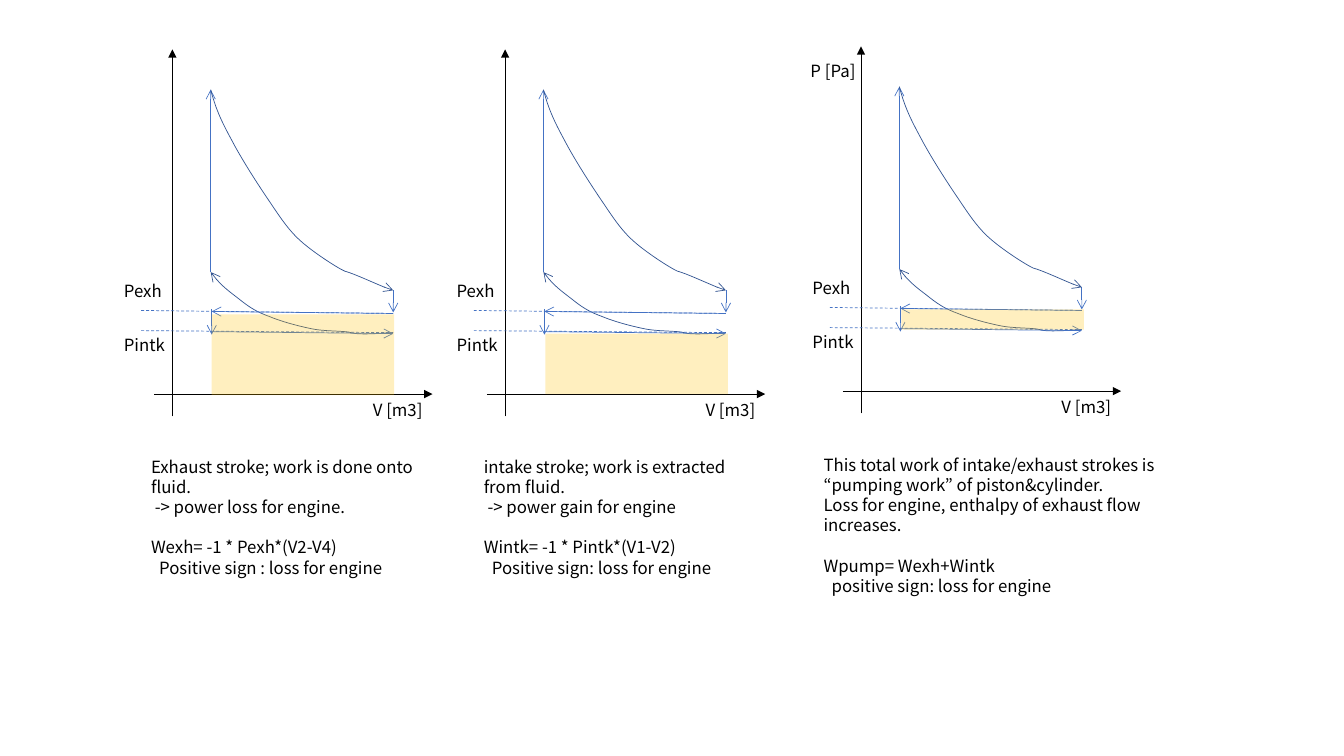
from lxml.etree import SubElement
from pptx import Presentation
from pptx.dml.color import RGBColor
from pptx.enum.dml import MSO_LINE
from pptx.enum.shapes import MSO_CONNECTOR, MSO_SHAPE
from pptx.enum.text import MSO_AUTO_SIZE
from pptx.oxml.ns import qn
from pptx.util import Inches, Pt

BLACK = RGBColor(0x00, 0x00, 0x00)
BLUE = RGBColor(0x44, 0x72, 0xC4)
DARK_BLUE = RGBColor(0x32, 0x54, 0x91)
AMBER = RGBColor(0xFF, 0xC0, 0x00)
FONT = "Noto Sans CJK JP"
LINE_HEIGHT = 14.4  # points

# All diagram coordinates are inches from the top of the pressure axis.
# Each curve is a start point followed by two handles and an end per segment.
EXPANSION = [
    (0.38, 0.40),
    (0.44, 0.64), (0.53, 0.79), (0.62, 0.96),
    (0.72, 1.14), (0.83, 1.31), (0.93, 1.46),
    (1.04, 1.62), (1.13, 1.77), (1.26, 1.89),
    (1.39, 2.01), (1.64, 2.17), (1.71, 2.20),
    (1.79, 2.22), (2.16, 2.39), (2.19, 2.39),
]
COMPRESSION = [
    (0.38, 2.21),
    (0.48, 2.35), (0.59, 2.42), (0.69, 2.50),
    (0.78, 2.57), (0.85, 2.61), (0.96, 2.65),
    (1.08, 2.70), (1.23, 2.74), (1.37, 2.77),
    (1.50, 2.80), (1.70, 2.79), (1.77, 2.81),
    (1.85, 2.84), (2.16, 2.81), (2.19, 2.81),
]
AXES = [((0, 3.64), (0, 0)), ((-0.18, 3.42), (2.58, 3.42))]
PRESSURE_LEVELS = [((-0.31, 2.79), (2.19, 2.81)), ((-0.31, 2.59), (2.19, 2.62))]
VOLUME_STEPS = [((0.38, 2.21), (0.38, 0.40)), ((2.19, 2.39), (2.19, 2.61))]
GAS_EXCHANGE = [
    ((0.39, 2.60), (2.19, 2.62)),
    ((0.39, 2.83), (0.39, 2.58)),
    ((2.19, 2.82), (0.38, 2.80)),
]
VOLUME_LABEL = ("V [m3]", 1.89, 3.43, 0.76)
PRESSURE_LABEL = ("P [Pa]", -0.60, 0.09, 0.79)
LEVEL_LABELS = [("Pexh", -0.58, 2.25, 0.79), ("Pintk", -0.58, 2.78, 0.79)]

# Caption paragraphs are (text, left indent in inches, blank lines above).
EXHAUST = {
    "origin": (1.71, 0.49),
    "labels": [VOLUME_LABEL, *LEVEL_LABELS],
    "work_area": (0.39, 2.63, 1.81, 0.80),
    "caption_box": (-0.31, 3.99, 2.96, 1.31),
    "caption": [
        ("Exhaust stroke; work is done onto fluid.", 0, 0),
        (" -> power loss for engine.", 0, 0),
        ("Wexh= -1 * Pexh*(V2-V4)", 0, 1),
        ("Positive sign : loss for engine", 0.08, 0),
    ],
}
INTAKE = {
    "origin": (5.01, 0.49),
    "labels": [VOLUME_LABEL, *LEVEL_LABELS],
    "work_area": (0.40, 2.82, 1.81, 0.60),
    "caption_box": (-0.31, 3.99, 2.89, 1.31),
    "caption": [
        ("intake stroke; work is extracted from fluid.", 0, 0),
        (" -> power gain for engine", 0, 0),
        ("Wintk= -1 * Pintk*(V1-V2)", 0, 1),
        ("Positive sign: loss for engine", 0.08, 0),
    ],
}
PUMPING = {
    "origin": (8.54, 0.46),
    "labels": [PRESSURE_LABEL, VOLUME_LABEL, *LEVEL_LABELS],
    "work_area": (0.40, 2.61, 1.81, 0.20),
    "caption_box": (-0.47, 4.00, 3.52, 1.51),
    "caption": [
        ("This total work of intake/exhaust strokes is “pumping work” of piston&cylinder.", 0, 0),
        ("Loss for engine, enthalpy of exhaust flow increases.", 0, 0),
        ("Wpump= Wexh+Wintk", 0, 1),
        ("positive sign: loss for engine", 0.08, 0),
    ],
}


def place(origin, point):
    """Turn diagram coordinates into slide lengths."""
    return Inches(origin[0] + point[0]), Inches(origin[1] + point[1])


def style_line(shape, color, head=None, tail=None, dashed=False):
    """Format a line; head is the arrow at its start, tail at its end."""
    shape.line.color.rgb = color
    shape.line.width = Pt(0.5)
    if dashed:
        shape.line.dash_style = MSO_LINE.DASH
    line = shape._element.spPr.find(qn("a:ln"))
    for tag, arrow in (("a:headEnd", head), ("a:tailEnd", tail)):
        if arrow:
            SubElement(line, qn(tag), type=arrow)


def add_line(slide, origin, ends, color, **line_format):
    start, end = (place(origin, point) for point in ends)
    connector = slide.shapes.add_connector(MSO_CONNECTOR.STRAIGHT, *start, *end)
    style_line(connector, color, **line_format)
    SubElement(connector._element.spPr, qn("a:effectLst"))


def add_curve(slide, origin, controls, **line_format):
    """Draw a freeform, joining every three points into one cubic segment."""
    builder = slide.shapes.build_freeform(*place(origin, controls[0]))
    builder.add_line_segments(
        [place(origin, point) for point in controls[1:]], close=False
    )
    curve = builder.convert_to_shape()
    outline = next(curve._element.iter(qn("a:path")))
    straight_parts = outline.findall(qn("a:lnTo"))
    for first in range(0, len(straight_parts), 3):
        cubic = SubElement(outline, qn("a:cubicBezTo"))
        for part in straight_parts[first:first + 3]:
            cubic.append(part[0])
            outline.remove(part)
    curve.shadow.inherit = False
    curve.fill.background()
    style_line(curve, DARK_BLUE, **line_format)


def add_work_area(slide, origin, box):
    left, top, width, height = box
    area = slide.shapes.add_shape(
        MSO_SHAPE.RECTANGLE, *place(origin, (left, top)), Inches(width), Inches(height)
    )
    area.shadow.inherit = False
    area.line.fill.background()
    area.fill.solid()
    area.fill.fore_color.rgb = AMBER
    color = area._element.spPr.find(qn("a:solidFill"))[0]
    SubElement(color, qn("a:alpha"), val="25000")


def add_text(slide, origin, box, paragraphs, size=12, color=BLACK, font=FONT):
    left, top, width, height = box
    text_box = slide.shapes.add_textbox(
        *place(origin, (left, top)), Inches(width), Inches(height)
    )
    frame = text_box.text_frame
    frame.word_wrap = True
    frame.auto_size = MSO_AUTO_SIZE.SHAPE_TO_FIT_TEXT
    for index, (text, indent, blank_lines) in enumerate(paragraphs):
        paragraph = frame.add_paragraph() if index else frame.paragraphs[0]
        if indent:
            paragraph._p.get_or_add_pPr().set("marL", str(Inches(indent)))
        if blank_lines:
            paragraph.space_before = Pt(LINE_HEIGHT * blank_lines)
        run = paragraph.add_run()
        run.text = text
        run.font.size = Pt(size)
        run.font.name = font
        run.font.color.rgb = color


def add_panel(slide, origin, labels, work_area, caption_box, caption):
    """Draw one pressure-volume cycle with its shaded work and caption."""
    for ends in AXES:
        add_line(slide, origin, ends, BLACK, tail="triangle")
    for ends in VOLUME_STEPS:
        add_line(slide, origin, ends, BLUE, tail="arrow")
    add_curve(slide, origin, EXPANSION, tail="arrow")
    add_curve(slide, origin, COMPRESSION, head="arrow")
    for ends in PRESSURE_LEVELS:
        add_line(slide, origin, ends, BLUE, dashed=True)
    for text, left, top, width in labels:
        add_text(slide, origin, (left, top, width, 0.3), [(text, 0, 0)])
    for ends in GAS_EXCHANGE:
        add_line(slide, origin, ends, BLUE, head="arrow")
    add_work_area(slide, origin, work_area)
    add_text(slide, origin, caption_box, caption)


def main():
    presentation = Presentation()
    presentation.slide_width = Inches(13.33)
    presentation.slide_height = Inches(7.5)
    slide = presentation.slides.add_slide(presentation.slide_layouts[6])
    for panel in (PUMPING, EXHAUST, INTAKE):
        add_panel(slide, **panel)
    presentation.save("out.pptx")


if __name__ == "__main__":
    main()
